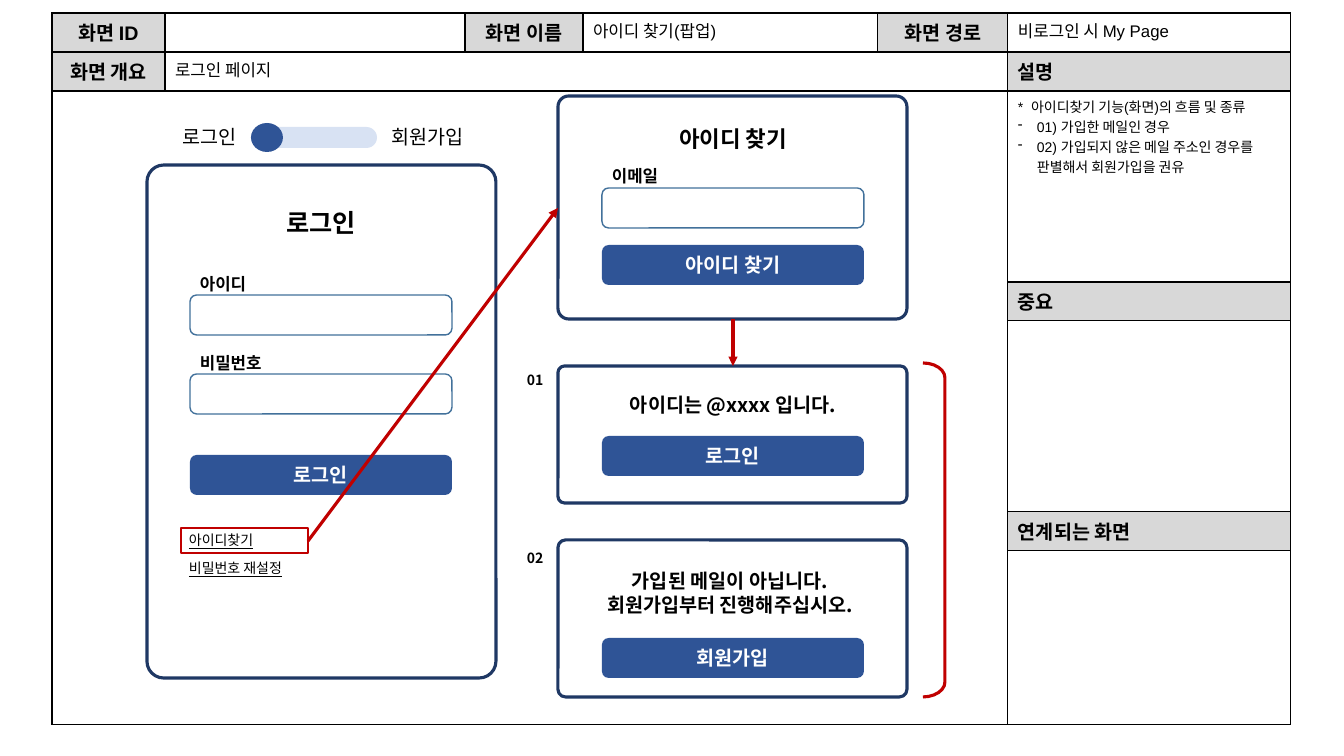
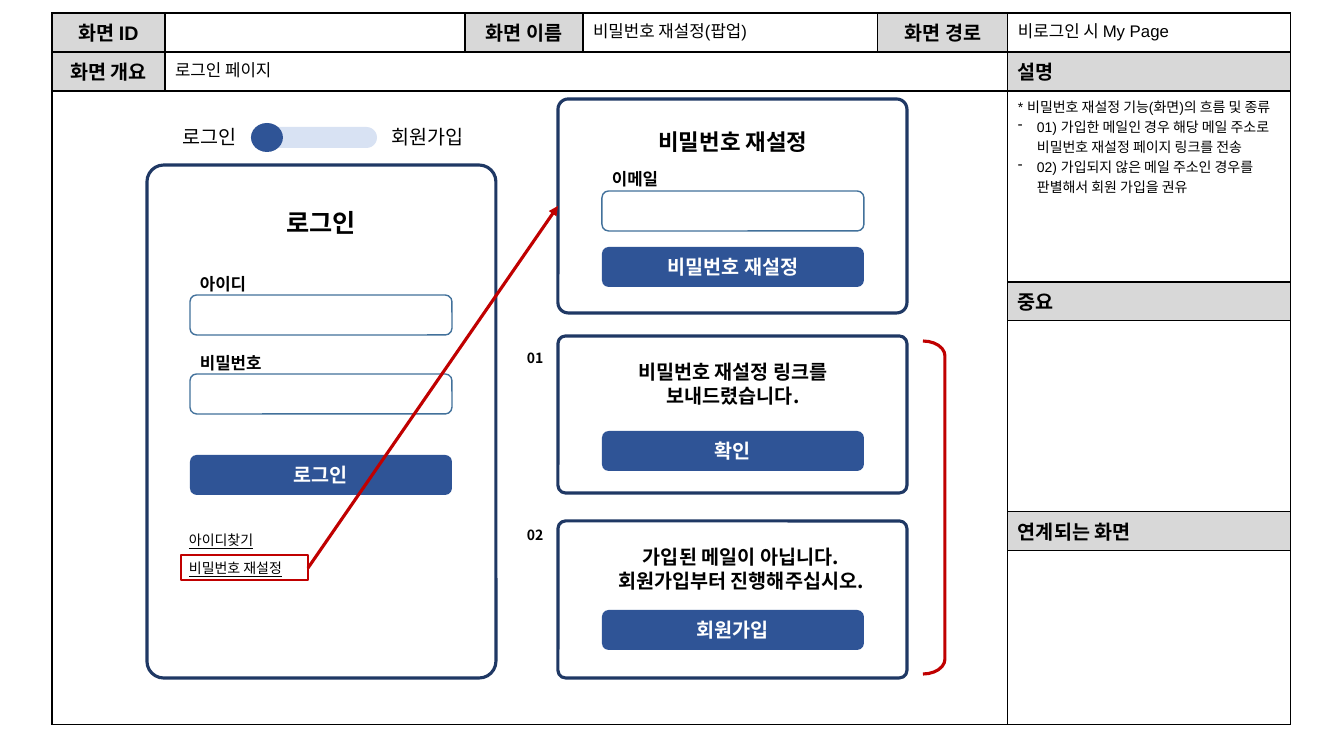
from lxml import etree
from pptx import Presentation
from pptx.dml.color import RGBColor
from pptx.enum.shapes import MSO_CONNECTOR, MSO_SHAPE
from pptx.enum.text import MSO_ANCHOR, MSO_AUTO_SIZE, PP_ALIGN
from pptx.oxml.ns import qn
from pptx.util import Inches, Pt

ROUND, RECT, OVAL = MSO_SHAPE.ROUNDED_RECTANGLE, MSO_SHAPE.RECTANGLE, MSO_SHAPE.OVAL
BRACKET, STRAIGHT = MSO_SHAPE.RIGHT_BRACKET, MSO_CONNECTOR.STRAIGHT
LEFT, CENTER = PP_ALIGN.LEFT, PP_ALIGN.CENTER
MIDDLE, TOP, GROW = MSO_ANCHOR.MIDDLE, MSO_ANCHOR.TOP, MSO_AUTO_SIZE.SHAPE_TO_FIT_TEXT

PX = Inches(1) / 100.8
KOREAN = "Noto Sans CJK KR"
COLORS = {
    "black": "000000", "white": "FFFFFF", "grey": "D8D8D8", "navy": "1F3864",
    "blue": "2F5496", "pale": "D8E2F3", "field": "42719B", "red": "C00000",
}
RGB = {name: RGBColor.from_string(value) for name, value in COLORS.items()}

TITLE = {"size": Pt(18), "bold": True}
POPUP_TITLE = {"size": Pt(16), "bold": True}
MESSAGE = {"size": Pt(14), "bold": True}
LABEL = {"size": Pt(12), "bold": True}
TOGGLE = {"size": Pt(14)}
LINK = {"size": Pt(10), "underline": True}
NUMBER = {"size": Pt(10), "bold": True}
HEAD = {"size": Pt(14), "bold": True, "name": "Arial"}
VALUE = {"size": Pt(12), "bold": False, "name": "Arial"}
NOTE = {"size": Pt(10), "bold": False, "name": "Arial"}

PANEL = {"line": "navy", "weight": 2.25, "adj": 0.048}
FIELD = {"line": "field", "weight": 1, "adj": 0.167}
BUTTON = {"fill": "blue", "adj": 0.167, "fmt": MESSAGE, "color": "white", "align": CENTER}

COLS = [113, 300, 118, 295, 130, 283]
ROWS = [39, 39, 191, 39, 191, 39, 174]
HEADINGS = {
    (0, 0): "화면 ID", (0, 2): "화면 이름", (0, 4): "화면 경로", (1, 0): "화면 개요",
    (1, 5): "설명", (3, 5): "중요", (5, 5): "연계되는 화면",
}
PANEL_X, PANEL_W = 558, 349
LOGIN_X, POPUP_X = 190, 602
FIELD_W, FIELD_H = 262, 40

SCREENS = [
    {
        "name": "아이디 찾기", "popup": (96, 223), "title": 120, "label": 161,
        "field": 188, "button": 245, "link": 528, "bracket": (363, 334),
        "notes": ["*  아이디찾기 기능(화면)의 흐름 및 종류", "01) 가입한 메일인 경우",
                  "02) 가입되지 않은 메일 주소인 경우를 판별해서 회원가입을 권유"],
        "arrows": [(308, 541, 558, 208), (733, 319, 733, 366)],
        "results": [
            ("01", 363, 366, 137, (602, 388, 262, 34), ["아이디는 @xxxx 입니다."], 436, "로그인"),
            ("02", 541, 540, 157, (583, 564, 294, 57),
             ["가입된 메일이 아닙니다.", "회원가입부터 진행해주십시오."], 638, "회원가입"),
        ],
    },
    {
        "name": "비밀번호 재설정", "popup": (99, 214), "title": 123, "label": 164,
        "field": 191, "button": 247, "link": 555, "bracket": (341, 333),
        "notes": ["* 비밀번호 재설정 기능(화면)의 흐름 및 종류",
                  "01) 가입한 메일인 경우 해당 메일 주소로 비밀번호 재설정 페이지 링크를 전송",
                  "02) 가입되지 않은 메일 주소인 경우를 판별해서 회원 가입을 권유"],
        "arrows": [(308, 568, 558, 206)],
        "results": [
            ("01", 341, 336, 157, (602, 355, 262, 57),
             ["비밀번호 재설정 링크를 보내드렸습니다."], 431, "확인"),
            ("02", 518, 521, 157, (594, 540, 294, 57),
             ["가입된 메일이 아닙니다.", "회원가입부터 진행해주십시오."], 610, "회원가입"),
        ],
    },
]


def write(tf, lines, fmt, color="black", align=LEFT):
    for i, line in enumerate(lines):
        p = tf.paragraphs[0] if i == 0 else tf.add_paragraph()
        p.alignment = align
        r = p.add_run()
        r.text = line
        for key, value in {"name": KOREAN, **fmt}.items():
            setattr(r.font, key, value)
        r.font.color.rgb = RGB[color]
        etree.SubElement(r._r.rPr, qn("a:ea"), typeface=KOREAN)


def box(s, kind, at, lines=(), fmt=None, color="black", align=LEFT,
        fill=None, line=None, weight=1, adj=None, inset=5):
    at = [round(v * PX) for v in at]
    sp = s.shapes.add_shape(kind, *at) if kind else s.shapes.add_textbox(*at)
    tf = sp.text_frame
    tf.word_wrap = True
    if kind:
        sp.shadow.inherit = False
        if fill:
            sp.fill.solid()
            sp.fill.fore_color.rgb = RGB[fill]
        else:
            sp.fill.background()
        if line:
            sp.line.color.rgb = RGB[line]
            sp.line.width = Pt(weight)
        else:
            sp.line.fill.background()
        if adj:
            sp.adjustments[0] = adj
    else:
        tf.auto_size = GROW
    tf.vertical_anchor = MIDDLE if kind else TOP
    tf.margin_top = tf.margin_bottom = round(inset * PX)
    write(tf, lines, fmt, color, align)


prs = Presentation()
prs.slide_width, prs.slide_height = round(1344 * PX), round(756 * PX)

for screen in SCREENS:
    s = prs.slides.add_slide(prs.slide_layouts[6])

    frame = [round(v * PX) for v in (52, 13, sum(COLS), sum(ROWS))]
    table = s.shapes.add_table(len(ROWS), len(COLS), *frame).table
    table.first_row = table.horz_banding = False
    for col, width in zip(table.columns, COLS):
        col.width = round(width * PX)
    for row, height in zip(table.rows, ROWS):
        row.height = round(height * PX)
    table.cell(1, 1).merge(table.cell(1, 4))
    table.cell(2, 0).merge(table.cell(6, 4))
    values = {(0, 3): screen["name"] + "(팝업)", (0, 5): "비로그인 시 My Page", (1, 1): "로그인 페이지"}
    for row in range(len(ROWS)):
        for col in range(len(COLS)):
            cell, key = table.cell(row, col), (row, col)
            tf = cell.text_frame
            tcPr = cell._tc.get_or_add_tcPr()
            for side in ("lnL", "lnR", "lnT", "lnB"):
                ln = etree.SubElement(tcPr, qn("a:" + side), w=str(Pt(1)))
                solid = etree.SubElement(ln, qn("a:solidFill"))
                etree.SubElement(solid, qn("a:srgbClr"), val=COLORS["black"])
            if key in HEADINGS:
                cell.fill.solid()
                cell.fill.fore_color.rgb = RGB["grey"]
                write(tf, [HEADINGS[key]], HEAD, align=LEFT if col == 5 else CENTER)
                continue
            cell.fill.background()
            if key in values:
                write(tf, [values[key]], VALUE)
            elif key == (2, 5):
                write(tf, screen["notes"], NOTE)
                for p in tf.paragraphs[1:]:
                    pPr = p._p.get_or_add_pPr()
                    pPr.set("marL", str(round(19 * PX)))
                    pPr.set("indent", str(round(-19 * PX)))
                    etree.SubElement(pPr, qn("a:buChar"), char="-")
            else:
                etree.SubElement(tf.paragraphs[0]._p, qn("a:endParaRPr"), sz="1200")

    box(s, ROUND, (251, 127, 126, 21), fill="pale", adj=0.5)
    box(s, OVAL, (251, 123, 32, 29), fill="blue")
    for text, x, w in (("로그인", 165, 90), ("회원가입", 377, 102)):
        box(s, None, (x, 120, w, 34), [text], TOGGLE, align=CENTER)

    box(s, ROUND, (147, 165, PANEL_W, 513), **PANEL)
    box(s, ROUND, (PANEL_X, screen["popup"][0], PANEL_W, screen["popup"][1]), **PANEL)
    box(s, None, (LOGIN_X, 202, FIELD_W, 40), ["로그인"], TITLE, align=CENTER)
    box(s, None, (POPUP_X, screen["title"], FIELD_W, 37), [screen["name"]], POPUP_TITLE, align=CENTER)
    for text, x, label_y, field_y in (
        ("아이디", LOGIN_X, 269, 295),
        ("비밀번호", LOGIN_X, 348, 374),
        ("이메일", POPUP_X, screen["label"], screen["field"]),
    ):
        box(s, None, (x, label_y, 107, 30), [text], LABEL)
        box(s, ROUND, (x, field_y, FIELD_W, FIELD_H), **FIELD)
    box(s, ROUND, (LOGIN_X, 455, FIELD_W, FIELD_H), ["로그인"], **BUTTON)
    box(s, ROUND, (POPUP_X, screen["button"], FIELD_W, FIELD_H), [screen["name"]], **BUTTON)
    for text, y in (("아이디찾기", 527), ("비밀번호 재설정", 555)):
        box(s, None, (179, y, 131, 27), [text], LINK)

    for number, number_y, y, h, message_at, message, button_y, action in screen["results"]:
        box(s, None, (517, number_y, 52, 37), [number], NUMBER, inset=10)
        box(s, ROUND, (PANEL_X, y, PANEL_W, h), **PANEL)
        box(s, None, message_at, message, MESSAGE, align=CENTER)
        box(s, ROUND, (POPUP_X, button_y, FIELD_W, FIELD_H), [action], **BUTTON)

    box(s, RECT, (181, screen["link"], 127, 25), line="red", weight=1.5)
    bracket_y, bracket_h = screen["bracket"]
    box(s, BRACKET, (923, bracket_y, 22, bracket_h), line="red", weight=2.25, adj=0.676)
    for ends in screen["arrows"]:
        arrow = s.shapes.add_connector(STRAIGHT, *[round(v * PX) for v in ends])
        arrow.line.color.rgb = RGB["red"]
        arrow.line.width = Pt(2.25)
        spPr = arrow._element.spPr
        etree.SubElement(spPr.find(qn("a:ln")), qn("a:tailEnd"), type="triangle")
        etree.SubElement(spPr, qn("a:effectLst"))

prs.save("out.pptx")
